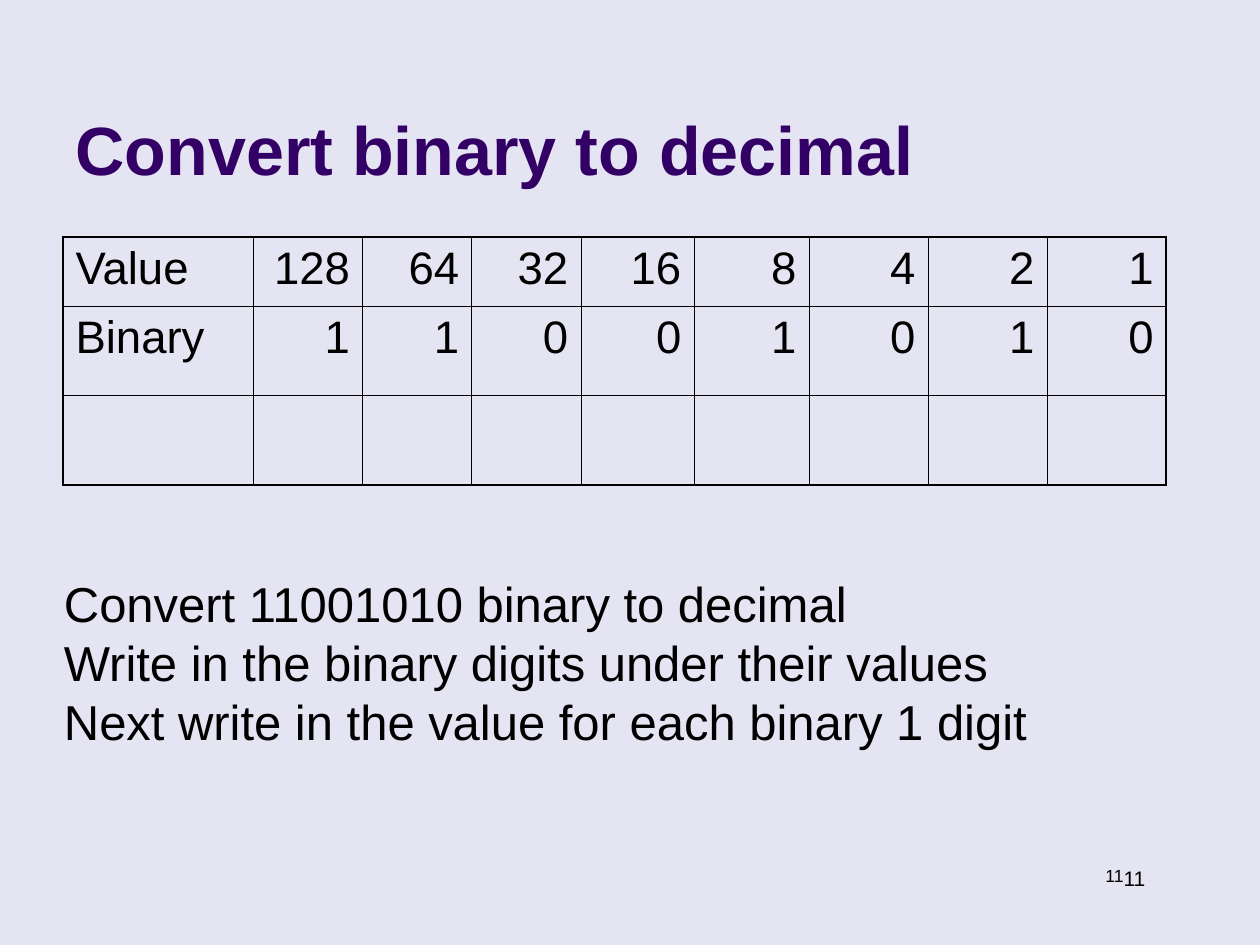
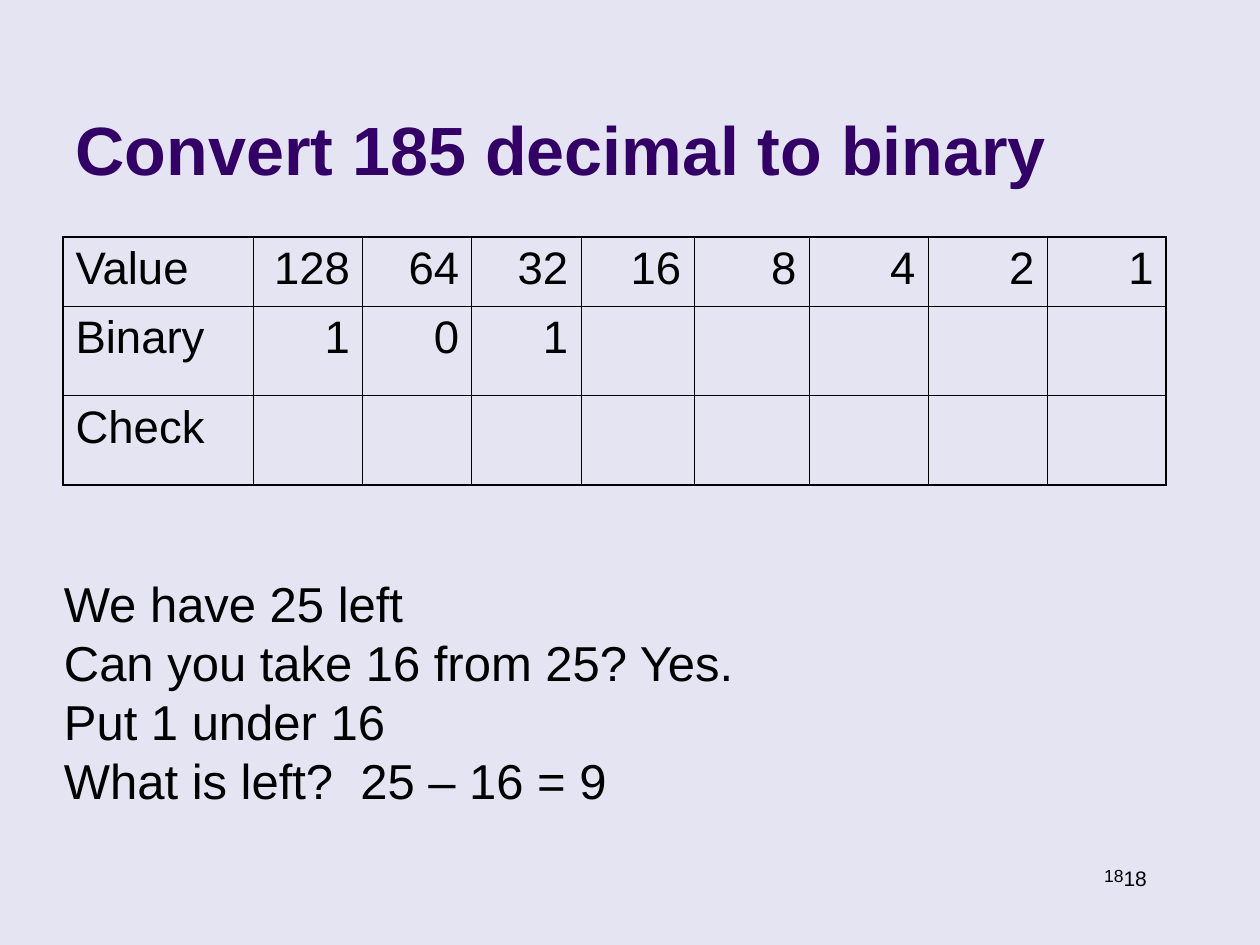
from dataclasses import dataclass

from lxml.etree import SubElement
from pptx import Presentation
from pptx.dml.color import RGBColor
from pptx.enum.text import MSO_ANCHOR as Anchor, PP_ALIGN as Align
from pptx.oxml.ns import qn
from pptx.slide import Slide
from pptx.table import _Cell as Cell
from pptx.text.text import TextFrame
from pptx.util import Cm, Length, Pt

COLORS = {"background": "E4E4F2", "title": "330066", "text": "000000", "border": "000000"}
FONT = "Arial"
PLACE_VALUES = [str(2 ** power) for power in range(7, -1, -1)]
COLUMN_WIDTHS = [3.84, 2.2, 2.2, 2.2, 2.28, 2.32, 2.4, 2.4, 2.4]
ROW_HEIGHTS = [1.4, 1.8, 1.8]
OUTER_BORDER, INNER_BORDER = Pt(1.08), Pt(0.45)


@dataclass(frozen=True)
class Box:
    """A place on the slide, in centimetres."""
    left: float
    top: float
    width: float
    height: float

    def lengths(self) -> tuple[Length, ...]:
        return tuple(Cm(side) for side in (self.left, self.top, self.width, self.height))


@dataclass(frozen=True)
class ConversionStep:
    title: str
    binary_digits: str
    check_label: str
    instructions: list[str]
    page: str


TITLE_BOX = Box(1.27, 0.33, 20.96, 3.61)
TABLE_BOX = Box(1.27, 4.78, sum(COLUMN_WIDTHS), sum(ROW_HEIGHTS))
INSTRUCTIONS_BOX = Box(1.04, 11.43, 22.45, 3.81)
SMALL_PAGE_BOX = Box(17.7, 17.32, 5.2, 0.69)
LARGE_PAGE_BOX = Box(22.4, 17.32, 2.44, 0.76)

STEPS = [
    ConversionStep(
        "Convert binary to decimal", "11001010", "",
        ["Convert 11001010 binary to decimal",
         "Write in the binary digits under their values",
         "Next write in the value for each binary 1 digit"], "11"),
    ConversionStep(
        "Convert 185 decimal to binary", "101", "Check",
        ["We have 25 left",
         "Can you take 16 from 25? Yes.",
         "Put 1 under 16",
         "What is left?  25 – 16 = 9"], "18"),
]


def format_text(text_frame: TextFrame, size: float, color: str = "text",
                align: Align = Align.LEFT, bold: bool = False) -> None:
    for paragraph in text_frame.paragraphs:
        paragraph.alignment = align
        for run in paragraph.runs:
            run.font.name = FONT
            run.font.size = Pt(size)
            run.font.bold = bold
            run.font.color.rgb = RGBColor.from_string(COLORS[color])


def add_title(slide: Slide, text: str) -> None:
    title = slide.shapes.title
    title.left, title.top, title.width, title.height = TITLE_BOX.lengths()
    title.text_frame.text = text
    title.text_frame.vertical_anchor = Anchor.BOTTOM
    format_text(title.text_frame, 39, "title", bold=True)


def add_text(slide: Slide, box: Box, lines: list[str], size: float,
             align: Align = Align.LEFT) -> TextFrame:
    text_frame = slide.shapes.add_textbox(*box.lengths()).text_frame
    text_frame.word_wrap = True
    text_frame.text = "\n".join(lines)
    format_text(text_frame, size, align=align)
    return text_frame


def add_instructions(slide: Slide, lines: list[str]) -> None:
    text_frame = add_text(slide, INSTRUCTIONS_BOX, lines, 28)
    for paragraph in text_frame.paragraphs:
        paragraph.line_spacing = Pt(33.7)


def set_borders(cell: Cell, outer_sides: dict[str, bool]) -> None:
    """Draw all four sides, the ones on the table's edge thicker."""
    properties = cell._tc.get_or_add_tcPr()
    for side, is_outer in outer_sides.items():
        width = OUTER_BORDER if is_outer else INNER_BORDER
        line = SubElement(properties, qn(f"a:ln{side}"), w=str(int(width)))
        fill = SubElement(line, qn("a:solidFill"))
        SubElement(fill, qn("a:srgbClr"), val=COLORS["border"])


def add_place_value_table(slide: Slide, step: ConversionStep) -> None:
    rows = [["Value", *PLACE_VALUES], ["Binary", *step.binary_digits], [step.check_label]]
    last_row, last_column = len(ROW_HEIGHTS) - 1, len(COLUMN_WIDTHS) - 1
    table = slide.shapes.add_table(
        len(ROW_HEIGHTS), len(COLUMN_WIDTHS), *TABLE_BOX.lengths()).table
    table.first_row = table.horz_banding = False
    for column, width in zip(table.columns, COLUMN_WIDTHS):
        column.width = Cm(width)
    for row_index, (row, height) in enumerate(zip(table.rows, ROW_HEIGHTS)):
        row.height = Cm(height)
        texts = rows[row_index]
        for column_index, cell in enumerate(row.cells):
            set_borders(cell, {"L": column_index == 0, "R": column_index == last_column,
                               "T": row_index == 0, "B": row_index == last_row})
            cell.fill.background()
            if column_index < len(texts):
                cell.text_frame.text = texts[column_index]
                format_text(cell.text_frame, 26,
                            align=Align.RIGHT if column_index else Align.LEFT)


def add_page_numbers(slide: Slide, page: str) -> None:
    add_text(slide, SMALL_PAGE_BOX, [page], 10, Align.RIGHT)
    add_text(slide, LARGE_PAGE_BOX, [page], 12)


def main() -> None:
    presentation = Presentation()
    presentation.slide_width, presentation.slide_height = Cm(25.4), Cm(19.05)
    background = presentation.slide_master.background.fill
    background.solid()
    background.fore_color.rgb = RGBColor.from_string(COLORS["background"])
    title_only = presentation.slide_layouts.get_by_name("Title Only")
    for step in STEPS:
        slide = presentation.slides.add_slide(title_only)
        add_page_numbers(slide, step.page)
        add_title(slide, step.title)
        add_place_value_table(slide, step)
        add_instructions(slide, step.instructions)
    presentation.save("out.pptx")


if __name__ == "__main__":
    main()
